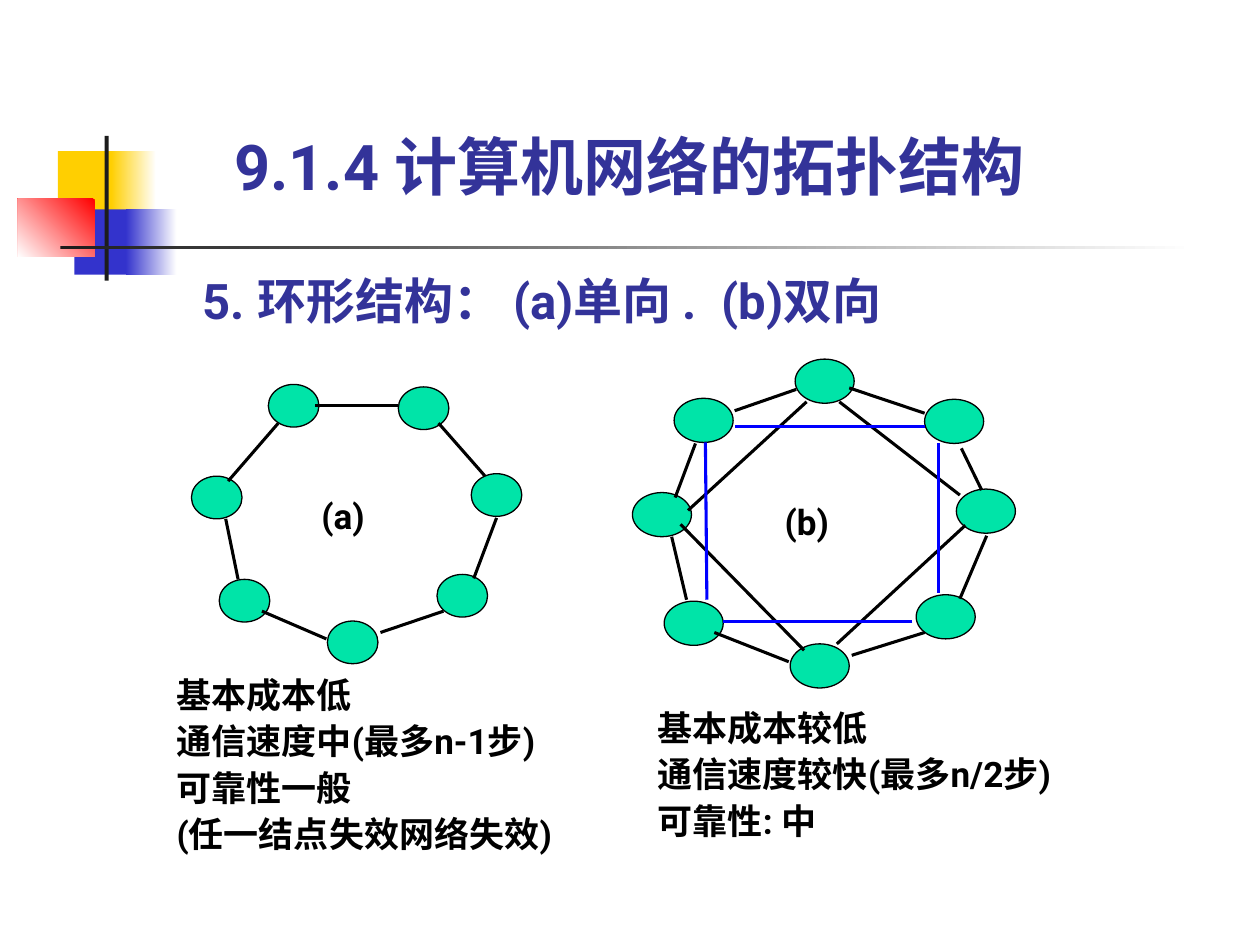
"""Build the ring topology slide."""
from lxml.etree import SubElement
from pptx import Presentation
from pptx.dml.color import RGBColor
from pptx.enum.shapes import MSO_CONNECTOR, MSO_SHAPE
from pptx.enum.text import MSO_ANCHOR, PP_ALIGN
from pptx.oxml.ns import qn
from pptx.util import Cm, Pt

BLUE, NAVY, BLACK, WHITE, GREEN = "0000FF", "333399", "000000", "FFFFFF", "00E4A8"

TITLE = "9.1.4 计算机网络的拓扑结构"
HEAD = "5. 环形结构： (a)单向 .  (b)双向"

DECOR = [
    ((1.17, 3.05, 1.22, 1.32), "FFCF01", None, 0),
    ((2.24, 3.05, 0.91, 1.32), "FFCF01", WHITE, 0),
    ((1.5, 4.22, 1.17, 1.32), "3333CC", None, 0),
    ((2.54, 4.22, 1.02, 1.32), "3333CC", WHITE, 0),
    ((0.36, 4.01, 1.55, 1.17), "FF0000", WHITE, 225),
    ((2.11, 2.74, 0.08, 2.92), "1C1C1C", None, 0),
    ((1.22, 4.95, 22.86, 0.08), "1C1C1C", WHITE, 0),
]

RINGS = [
    {
        "size": (1.02, 0.86),
        "nodes": [(3.86, 9.6), (4.42, 11.68), (8.81, 11.58), (8.03, 7.8),
                  (5.41, 7.75), (9.5, 9.55), (6.6, 12.52)],
        "links": {BLACK: [
            (8.03, 8.18, 6.35, 8.18), (8.94, 12.32, 7.67, 12.75),
            (9.78, 9.6, 8.84, 8.53), (5.61, 8.53, 4.6, 9.7),
            (4.8, 11.68, 4.55, 10.46), (10.01, 10.44, 9.55, 11.66),
            (6.58, 12.88, 5.28, 12.32)]},
        "label": ("(a)", (6.1, 9.8, 1.63, 1.19)),
        "notes": ["基本成本低", "通信速度中(最多n-1步)", "可靠性一般", "(任一结点失效网络失效)"],
        "box": (3.56, 13.67, 8.6, 3.58),
    },
    {
        "size": (1.19, 0.89),
        "nodes": [(12.75, 9.93), (13.39, 12.12), (18.47, 11.99), (18.64, 8.05),
                  (13.59, 8.03), (19.28, 9.86), (15.93, 12.98), (16.03, 7.24)],
        "links": {
            BLACK: [
                (18.64, 8.33, 17.12, 7.82), (18.64, 12.75, 17.17, 13.21),
                (19.79, 9.88, 19.38, 9.04), (14.02, 8.94, 13.61, 10.03),
                (13.84, 12.09, 13.54, 10.82), (19.89, 10.8, 19.35, 12.07),
                (15.9, 13.34, 14.4, 12.75), (16.21, 13.11, 13.72, 10.57),
                (19.46, 10.59, 16.87, 12.98), (16.26, 8.1, 13.87, 10.29),
                (14.81, 8.28, 16.05, 7.85), (16.92, 8.1, 19.35, 9.98)],
            BLUE: [
                (18.39, 12.52, 14.58, 12.52), (18.92, 8.94, 18.92, 11.96),
                (14.22, 8.92, 14.25, 12.09), (18.64, 8.59, 14.81, 8.59)]},
        "label": ("(b)", (15.45, 9.92, 1.63, 1.19)),
        "notes": ["基本成本较低", "通信速度较快(最多n/2步)", "可靠性: 中"],
        "box": (13.26, 14.33, 9.2, 3.4),
    },
]


def paint(color, tone):
    """Set a colour from a hex string."""
    color.rgb = RGBColor.from_string(tone)


def shape(host, kind, box, tone, fade=None, angle=0):
    """Add a plain or fading shape without a line."""
    item = host.add_shape(kind, *map(Cm, box))
    item.shadow.inherit = False
    item.line.fill.background()
    if fade:
        item.fill.gradient()
        item.fill.gradient_angle = angle
        for stop, hue in zip(item.fill.gradient_stops, (tone, fade)):
            paint(stop.color, hue)
    else:
        item.fill.solid()
        paint(item.fill.fore_color, tone)
    return item


def link(host, ends, tone):
    """Add a straight line."""
    item = host.add_connector(MSO_CONNECTOR.STRAIGHT, *map(Cm, ends))
    paint(item.line.color, tone)
    item.line.width = Pt(1.75)
    SubElement(item._element.spPr, qn("a:effectLst"))


def write(item, box, lines, size, tone=BLACK, align=PP_ALIGN.LEFT,
          anchor=MSO_ANCHOR.TOP, space=1.0, gap=0, hang=0):
    """Place a text holder and fill it with paragraphs."""
    item.left, item.top, item.width, item.height = map(Cm, box)
    frame = item.text_frame
    frame.word_wrap = True
    frame.vertical_anchor = anchor
    frame.margin_left = frame.margin_right = frame.margin_top = frame.margin_bottom = 0
    frame.text = "\n".join(lines)
    for row, para in enumerate(frame.paragraphs):
        props = para._p.get_or_add_pPr()
        props.set("marL", str(Cm(hang)))
        props.set("indent", str(-Cm(hang)))
        SubElement(props, qn("a:buNone"))
        para.alignment = align
        para.line_spacing = space
        para.space_before = Pt(gap if row else 0)
        font = para.font
        font.name, font.size, font.bold = "Roboto", Pt(size), True
        paint(font.color, tone)


def ring(slide, data):
    """Draw one ring with its label and notes."""
    group = slide.shapes.add_group_shape().shapes
    for spot in data["nodes"]:
        node = shape(group, MSO_SHAPE.OVAL, spot + data["size"], GREEN)
        paint(node.line.color, BLACK)
        node.line.width = Pt(0.75)
    for tone, links in data["links"].items():
        for ends in links:
            link(group, ends, tone)
    text, box = data["label"]
    write(slide.shapes.add_textbox(0, 0, 0, 0), box, [text], 20,
          align=PP_ALIGN.CENTER, anchor=MSO_ANCHOR.MIDDLE)
    write(slide.shapes.add_textbox(0, 0, 0, 0), data["box"], data["notes"], 20,
          space=0.9, gap=5, hang=0.95)


def main():
    """Build and save the slide."""
    deck = Presentation()
    deck.slide_width, deck.slide_height = Cm(25.4), Cm(19.05)
    slide = deck.slides.add_slide(deck.slide_layouts[1])
    for box, tone, fade, angle in DECOR:
        shape(slide.shapes, MSO_SHAPE.RECTANGLE, box, tone, fade, angle)
    write(slide.shapes.title, (4.72, 2.59, 17.35, 1.5), [TITLE], 36, NAVY,
          anchor=MSO_ANCHOR.BOTTOM, space=0.8)
    write(slide.placeholders[1], (4.09, 5.46, 15.65, 1.19), [HEAD], 28, NAVY, hang=0.95)
    for data in RINGS:
        ring(slide, data)
    deck.save("out.pptx")


if __name__ == "__main__":
    main()
